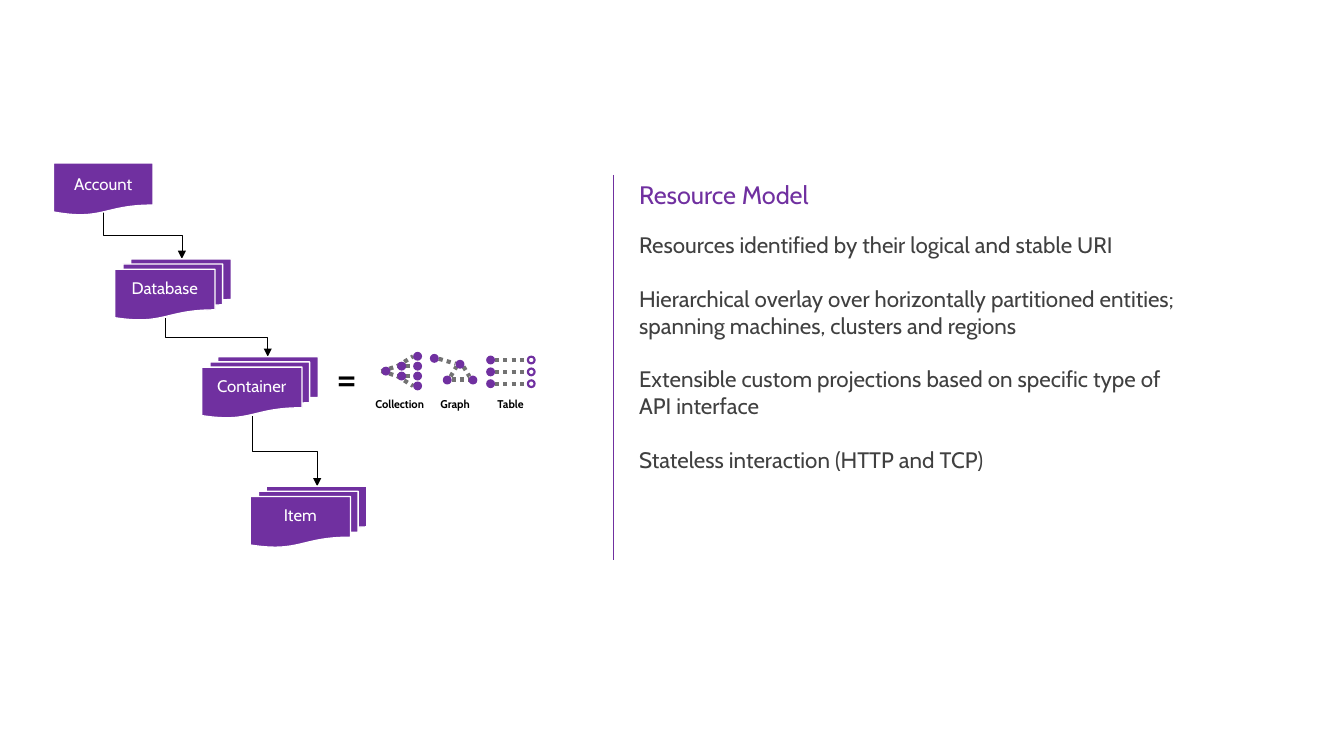
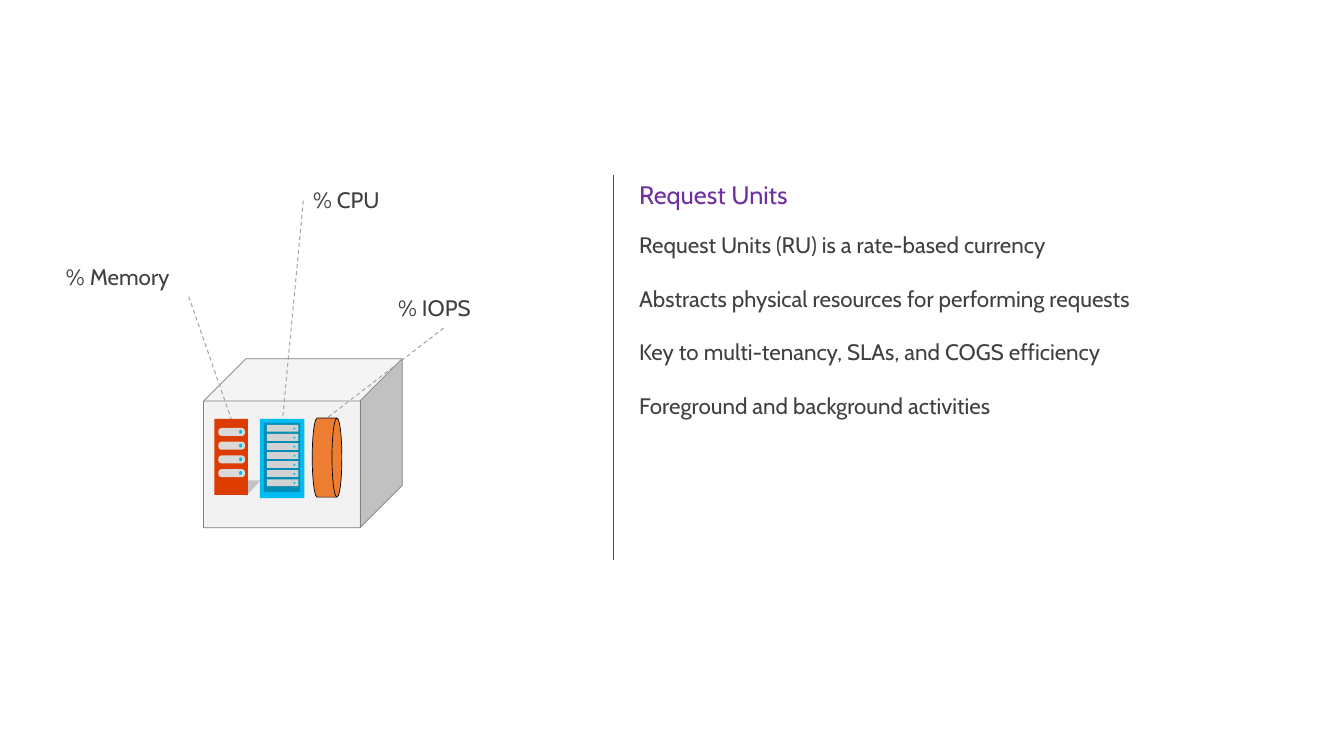
from pptx import Presentation
from pptx.util import Pt
from pptx.dml.color import RGBColor as RGB
from pptx.enum.dml import MSO_LINE as Dash
from pptx.enum.shapes import MSO_CONNECTOR as Wire, MSO_SHAPE as Form
from pptx.enum.text import MSO_ANCHOR as Anchor, PP_ALIGN as Align
from pptx.oxml.ns import qn
from lxml.etree import SubElement as Sub


class Theme:
    font = "Cabin"
    purple, white, black, text = "7030A0", "FFFFFF", "000000", "404040"
    dots, lead, cube, frame = "727272", "A5A5A5", "F2F2F2", "808080"
    red, blue, teal, drum = "DC3C00", "00BCF2", "008DB5", "ED7D31"
    bay, bar = "D9D9D9", "D2D2D2"
    title, body, node, small, sign = 18.4, 16.3, 12.2, 8.2, 30.6
    gap = 19.6


def put(home, kind, box, fill=None, edge=None, wide=0.5):
    place = [Pt(v) for v in box]
    if kind is None:
        item = home.shapes.add_textbox(*place)
    else:
        item = home.shapes.add_shape(kind, *place)
        item.shadow.inherit = False
        item.fill.solid()
        item.fill.fore_color.rgb = RGB.from_string(fill)
        if edge:
            item.line.color.rgb = RGB.from_string(edge)
            item.line.width = Pt(wide)
        else:
            item.line.fill.background()
    item.text_frame.word_wrap = True
    return item


def join(home, ends, ink, wide, dash=None, bent=False):
    x, y, right, low = ends
    if bent:
        mid, level = (x + right) / 2, (y + low) / 2
        half, rise = (right - x) / 2, (low - y) / 2
        ends = mid + rise, level - half, mid - rise, level + half
    kind = Wire.ELBOW if bent else Wire.STRAIGHT
    wire = home.shapes.add_connector(kind, *[Pt(v) for v in ends])
    wire.line.color.rgb = RGB.from_string(ink)
    wire.line.width = Pt(wide)
    if dash:
        wire.line.dash_style = dash
    props = wire._element.spPr
    if bent:
        props.find(qn("a:xfrm")).set("rot", "16200000")
        Sub(props.find(qn("a:ln")), qn("a:tailEnd"), type="triangle")
    Sub(props, qn("a:effectLst"))


deck = Presentation()
deck.slide_width, deck.slide_height = Pt(979.2), Pt(550.8)
notes = []

pages = [
    ("Resource Model", 407.5, 188.6, [
        "Resources identified by their logical and stable URI",
        "Hierarchical overlay over horizontally partitioned entities; "
        "spanning machines, clusters and regions",
        "Extensible custom projections based on specific type of API interface",
        "Stateless interaction (HTTP and TCP)"]),
    ("Request Units", 433.4, 168.5, [
        "Request Units (RU) is a rate-based currency",
        "Abstracts physical resources for performing requests",
        "Key to multi-tenancy, SLAs, and COGS efficiency",
        "Foreground and background activities"]),
]
for title, width, height, points in pages:
    page = deck.slides.add_slide(deck.slide_layouts[6])
    join(page, (447.1, 127.4, 447.1, 408.2), Theme.purple, 1)
    head = put(page, None, (458.6, 127.4, 343.4, 30.2))
    body = put(page, None, (458.6, 164.9, width, height))
    notes.append((head, [title], Theme.title, Theme.purple, False, Align.LEFT))
    notes.append((body, points, Theme.body, Theme.text, False, Align.LEFT))
model, units = deck.slides

for ends in [(75.6, 154.8, 132.5, 188.6), (120.2, 231.8, 195.1, 259.9),
             (183.6, 303.1, 231.1, 354.2)]:
    join(model, ends, Theme.black, 0.5, bent=True)

one, many = Form.FLOWCHART_DOCUMENT, Form.FLOWCHART_MULTIDOCUMENT
for name, kind, box, base in [
    ("Account", one, (38.9, 118.8, 72.7, 38.2), 0),
    ("Database", many, (83.5, 188.6, 85, 44.6), 8),
    ("Container", many, (146.9, 259.9, 85, 44.6), 8),
    ("Item", many, (182.2, 354.2, 85, 44.6), 8),
]:
    node = put(model, kind, box, Theme.purple, Theme.white, 1)
    frame = node.text_frame
    frame.vertical_anchor = Anchor.MIDDLE
    frame.margin_top, frame.margin_bottom = 0, Pt(base)
    notes.append((node, [name], Theme.node, Theme.white, False, Align.CENTER))

sign = put(model, None, (236.2, 256.3, 33.8, 38.2))
frame = sign.text_frame
frame.margin_left = frame.margin_right = 0
frame.margin_top = frame.margin_bottom = 0
notes.append((sign, ["="], Theme.sign, Theme.black, False, Align.CENTER))

size, root, step = 6.5, 270.4, 7.2
cols = [277.9, 289.4, 301]
mids = [root + step * (i - 0.5) for i in range(2)]
tips = [root + step * (i - 1.5) for i in range(4)]
rows = [262.3 + 8.64 * i for i in range(3)]

links = [(cols[0], root, cols[1], y) for y in mids]
links += [(cols[1], mids[i // 2], cols[2], y) for i, y in enumerate(tips)]
links += [(319.7, 261.4, 331.9, 265), (329, 276.5, 341.3, 276.5),
          (337.7, 267.1, 342, 274.3), (328.3, 274.3, 332.6, 267.1)]
links += [(360.7, y, 384.5, y) for y in rows]
for ends in links:
    join(model, ends, Theme.dots, 3, Dash.ROUND_DOT)

dots = [(cols[0], root)]
dots += [(cols[1], y) for y in mids] + [(cols[2], y) for y in tips]
dots += [(313.2, 261.1), (331.9, 265.4), (322.6, 276.9), (341.3, 276.9)]
dots += [(354.2, y) for y in rows]
rings = [(383.8, y) for y in rows]
for kind, spots in [(Form.OVAL, dots), (Form.DONUT, rings)]:
    for x, y in spots:
        put(model, kind, (x, y - size / 2, size, size), Theme.purple)

for i, name in enumerate(["Collection", "Graph", "Table"]):
    label = put(model, None, (264.2 + 40.35 * i, 285.8, 54, 17.3))
    notes.append((label, [name], Theme.small, Theme.black, True, Align.CENTER))

put(units, Form.CUBE, (148.3, 261.4, 144.7, 123.1), Theme.cube, Theme.frame)
pen = units.shapes.build_freeform(Pt(168.5), Pt(349.9))
pen.add_line_segments([(Pt(x), Pt(y)) for x, y in [
    (190.1, 349.9), (180, 360.7), (158.4, 360.7)]])
shade = pen.convert_to_shape()
shade.shadow.inherit = False
shade.fill.solid()
shade.fill.fore_color.rgb = RGB.from_string(Theme.black)
tint = shade._element.spPr.find(qn("a:solidFill")).find(qn("a:srgbClr"))
Sub(tint, qn("a:alpha"), val="19000")
shade.line.fill.background()

put(units, Form.RECTANGLE, (156.2, 305.3, 24.5, 55.4), Theme.red)
for i in range(4):
    drop = 10 * i
    bay = put(units, Form.ROUNDED_RECTANGLE,
              (159.1, 311.8 + drop, 19.4, 5.8), Theme.bay)
    bay.adjustments[0] = 0.4
    put(units, Form.OVAL, (174.2, 313.2 + drop, 2.2, 2.9), Theme.blue)

put(units, Form.RECTANGLE, (189.4, 305.3, 32.4, 57.6), Theme.blue)
put(units, Form.RECTANGLE, (192.2, 308.2, 26.6, 50.4), Theme.teal)
for i in range(7):
    drop = 6.6 * i
    put(units, Form.RECTANGLE, (194.4, 309.6 + drop, 23, 5), Theme.bar)
    put(units, Form.OVAL, (213.8, 311.6 + drop, 1.4, 1.4), Theme.blue)
put(units, Form.FLOWCHART_DIRECT_ACCESS_STORAGE,
    (227.5, 304.6, 21.6, 57.6), Theme.drum, Theme.black)

for name, box, ends in [
    ("% Memory", (41, 187.9, 192.2, 27.4), (137.5, 216, 168.5, 305.3)),
    ("% IOPS", (283, 211, 80.6, 27.4), (323.3, 239, 238.3, 304.6)),
    ("% CPU", (221, 131.8, 142.6, 27.4), (221, 146.2, 205.9, 305.3)),
]:
    join(units, ends, Theme.lead, 0.75, Dash.DASH)
    label = put(units, None, box)
    notes.append((label, [name], Theme.body, Theme.text, False, Align.LEFT))

for item, lines, size, ink, bold, align in notes:
    frame = item.text_frame
    for i, line in enumerate(lines):
        para = frame.add_paragraph() if i else frame.paragraphs[0]
        para.text = line
        para.alignment = align
        if i:
            para.space_before = Pt(Theme.gap)
        font = para.font
        font.name, font.size, font.bold = Theme.font, Pt(size), bold
        font.color.rgb = RGB.from_string(ink)

deck.save("out.pptx")
